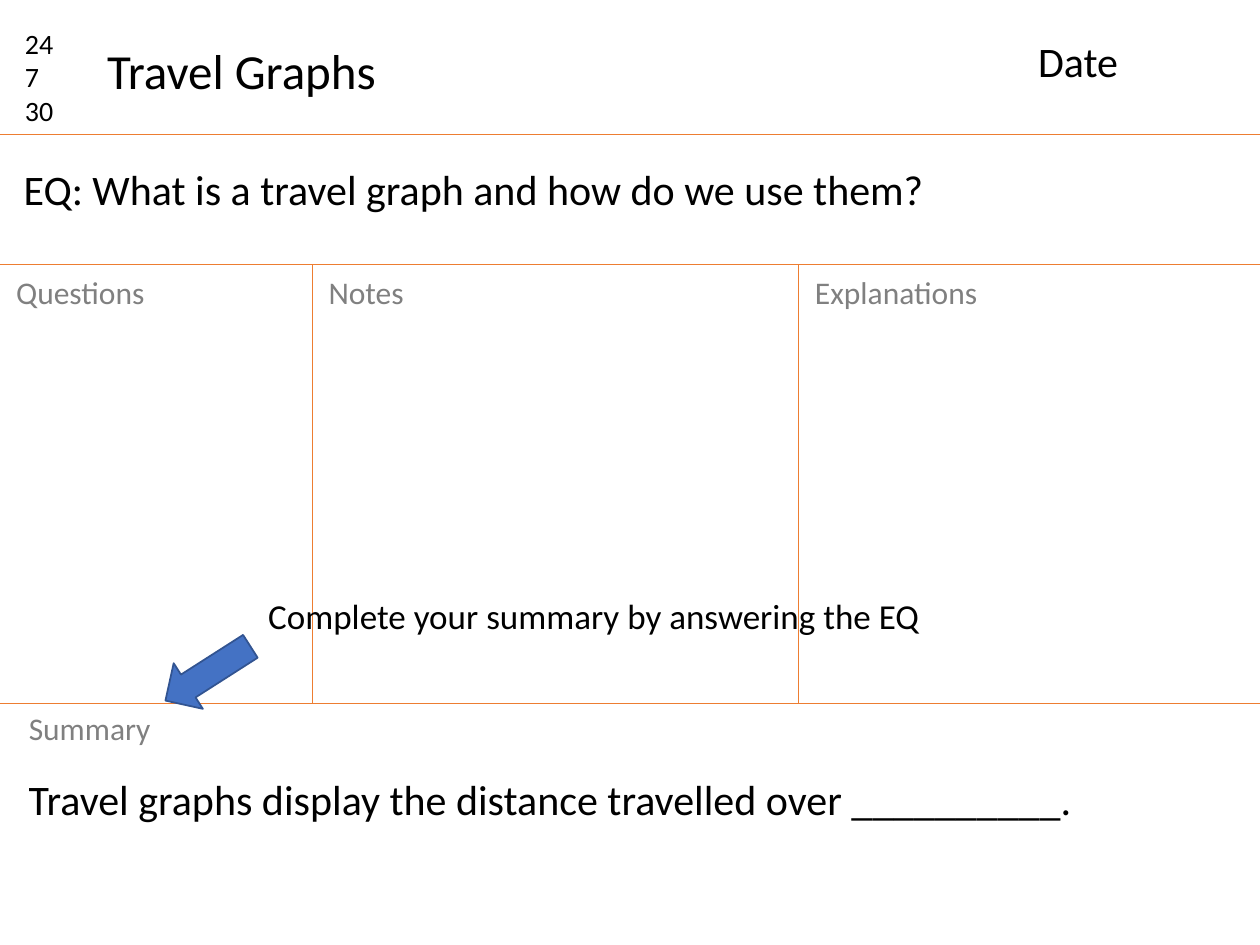
from pptx import Presentation
from pptx.dml.color import RGBColor
from pptx.enum.shapes import MSO_CONNECTOR, MSO_SHAPE
from pptx.enum.text import MSO_ANCHOR, MSO_AUTO_SIZE, PP_ALIGN
from pptx.oxml.ns import qn
from pptx.util import Inches, Pt
from lxml import etree

LINE, ARROW = MSO_CONNECTOR.STRAIGHT, MSO_SHAPE.RIGHT_ARROW
LEFT, TOP, GROW = PP_ALIGN.LEFT, MSO_ANCHOR.TOP, MSO_AUTO_SIZE.SHAPE_TO_FIT_TEXT
WIDE, HIGH = 10, 7.5
HEAD, GRID, FOOT = 1.07, 2.1, 5.58  # bottom of heading, question and columns
BODY = {"size": Pt(24), "color": "000000"}
LABEL = {"size": Pt(18), "color": "808080"}


def tint(code):
    return RGBColor.from_string(code)


def rule(slide, x1, y1, x2, y2):
    line = slide.shapes.add_connector(LINE, *map(Inches, (x1, y1, x2, y2)))
    line.line.color.rgb = tint("ED7D31")
    line.line.width = Pt(0.5)
    etree.SubElement(line._element.spPr, qn("a:effectLst"))


def write(shape, text, style, wrap):
    frame = shape.text_frame
    frame.text = text
    for key, val in {"word_wrap": wrap, "vertical_anchor": TOP,
                     "auto_size": GROW}.items():
        setattr(frame, key, val)
    for para in frame.paragraphs:
        para.alignment = LEFT
        para.font.name = "Calibri"
        para.font.size = style["size"]
        para.font.color.rgb = tint(style["color"])


def note(slide, box, text, style=BODY, wrap=False):
    write(slide.shapes.add_textbox(*map(Inches, box)), text, style, wrap)


def header(slide, x, y, wide, high):
    rule(slide, x, y + high, x + wide, y + high)
    note(slide, (x + 0.1, y + 0.16, 0.63, 0.91), "24\n7\n30",
         {**BODY, "size": Pt(16)}, True)
    title = slide.shapes.title
    box = (x + 0.75, y + 0.27, 2.36, 0.57)
    for key, val in zip(("left", "top", "width", "height"), box):
        setattr(title, key, Inches(val))
    write(title, "Travel Graphs", {**BODY, "size": Pt(28)}, False)
    note(slide, (x + wide - 1.86, y + 0.23, 1.73, 0.5), "Date", wrap=True)


def question(slide, x, y, wide, high):
    rule(slide, x, y + high, x + wide, y + high)
    note(slide, (x + 0.09, y + 0.18, wide - 0.23, 0.5),
         "EQ: What is a travel graph and how do we use them?", wrap=True)


def columns(slide, x, y, wide, high):
    parts = (("Questions", 0, 1.23), ("Notes", 0.248, 0.8),
             ("Explanations", 0.634, 1.5))
    for text, share, size in parts:
        left = x + share * wide
        if share:
            rule(slide, left, y, left, y + high)
        note(slide, (left + 0.03, y + 0.02, size, 0.4), text, LABEL)


def summary(slide, x, y, wide, high):
    rule(slide, x, y, x + wide, y)
    note(slide, (x + 0.13, y, 1.18, 0.4), "Summary", LABEL)
    note(slide, (x + 0.13, y + 0.51, 8.64, 0.5),
         "Travel graphs display the distance travelled over __________.")


def prompt(slide, x, y, wide, high):
    """Place a hint with an arrow that points down to the summary."""
    arrow = slide.shapes.add_shape(
        ARROW, *map(Inches, (x, y + high - 0.43, 0.8, 0.43)))
    arrow.rotation = 147.4
    arrow.shadow.inherit = False
    arrow.fill.solid()
    arrow.fill.fore_color.rgb = tint("4472C4")
    arrow.line.color.rgb = tint("325491")
    arrow.line.width = Pt(1)
    note(slide, (x + 0.78, y, wide - 0.78, 0.44),
         "Complete your summary by answering the EQ",
         {**BODY, "size": Pt(20)})


def main():
    deck = Presentation()
    deck.slide_width, deck.slide_height = Inches(WIDE), Inches(HIGH)
    slide = deck.slides.add_slide(deck.slide_layouts[5])
    header(slide, 0, 0, WIDE, HEAD)
    question(slide, 0, HEAD, WIDE, GRID - HEAD)
    columns(slide, 0, GRID, WIDE, FOOT - GRID)
    summary(slide, 0, FOOT, WIDE, HIGH - FOOT)
    prompt(slide, 1.25, 4.67, 6.19, 0.89)
    deck.save("out.pptx")


if __name__ == "__main__":
    main()
